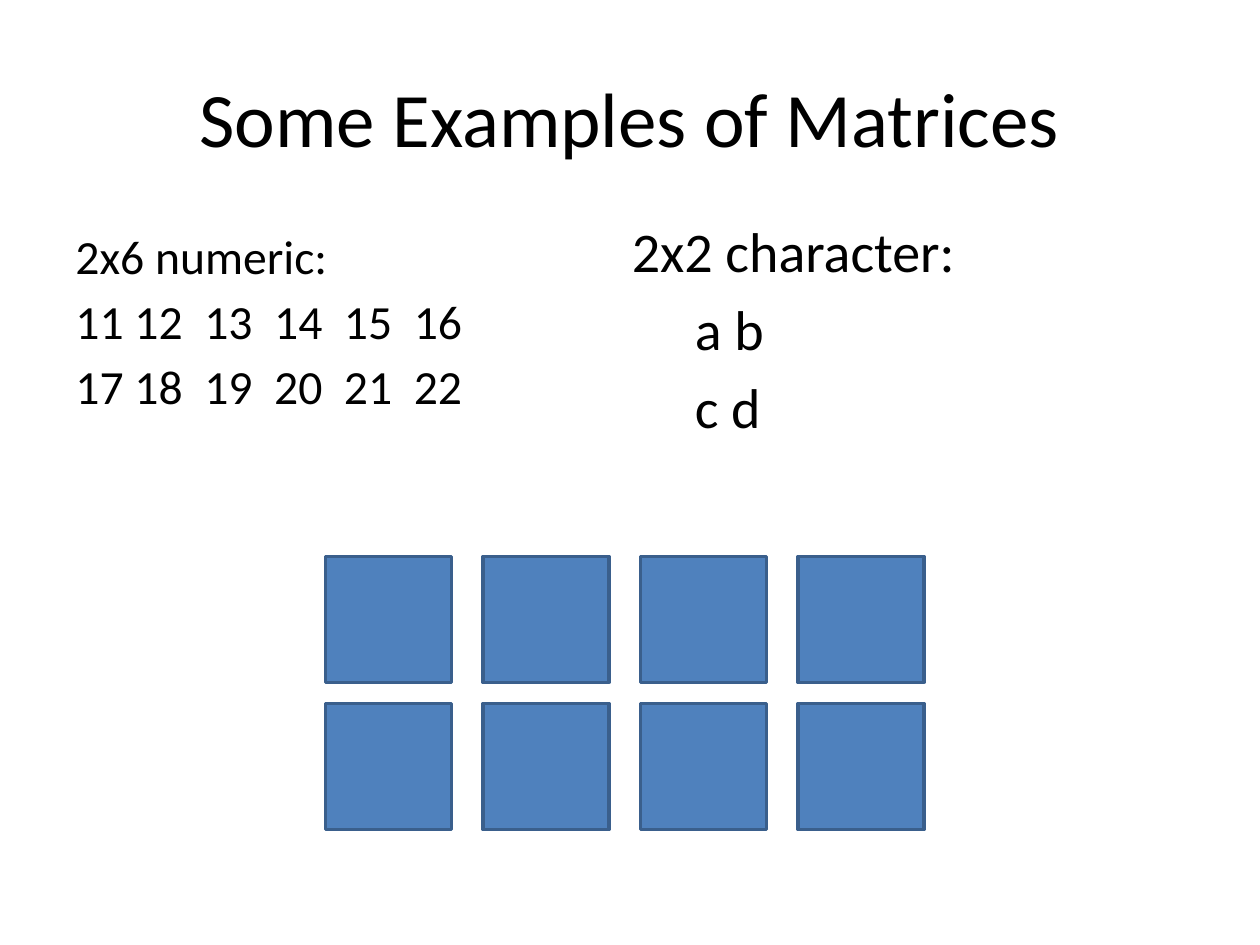
from pptx import Presentation
from pptx.dml.color import RGBColor as RGB
from pptx.enum.shapes import MSO_SHAPE as Kind
from pptx.enum.text import MSO_ANCHOR as Anchor, PP_ALIGN as Align
from pptx.util import Pt


def paint(color, code):
    color.rgb = RGB.from_string(code)


def write(box, lines, size, gap, align=Align.LEFT, anchor=Anchor.TOP):
    frame = slide.shapes.add_textbox(*map(Pt, box)).text_frame
    frame.word_wrap = True
    frame.vertical_anchor = anchor
    frame.text = "\n".join(lines)
    for para in frame.paragraphs:
        para.alignment = align
        para.space_before = Pt(gap)
        for run in para.runs:
            run.font.name = "Calibri"
            run.font.size = Pt(size)
            paint(run.font.color, "000000")


deck = Presentation()
deck.slide_width = Pt(720)
deck.slide_height = Pt(540)
slide = deck.slides.add_slide(deck.slide_layouts[6])

write((36, 21.6, 648, 90), ["Some Examples of Matrices"], 44, 0,
      Align.CENTER, Anchor.MIDDLE)
write((36, 126, 264, 138),
      ["2x6 numeric:", "11 12  13  14  15  16", "17 18  19  20  21  22"],
      27.2, 4.5)
write((354, 120, 210, 144), ["2x2 character:", "\ta b", "\tc d"], 32, 6.4)

side = 72
for row in range(2):
    for col in range(4):
        cell = slide.shapes.add_shape(
            Kind.RECTANGLE, Pt(186 + 90 * col), Pt(318 + 84 * row),
            Pt(side), Pt(side))
        cell.shadow.inherit = False
        cell.fill.solid()
        paint(cell.fill.fore_color, "4F81BD")
        paint(cell.line.color, "3A5F8C")
        cell.line.width = Pt(2)

deck.save("out.pptx")
